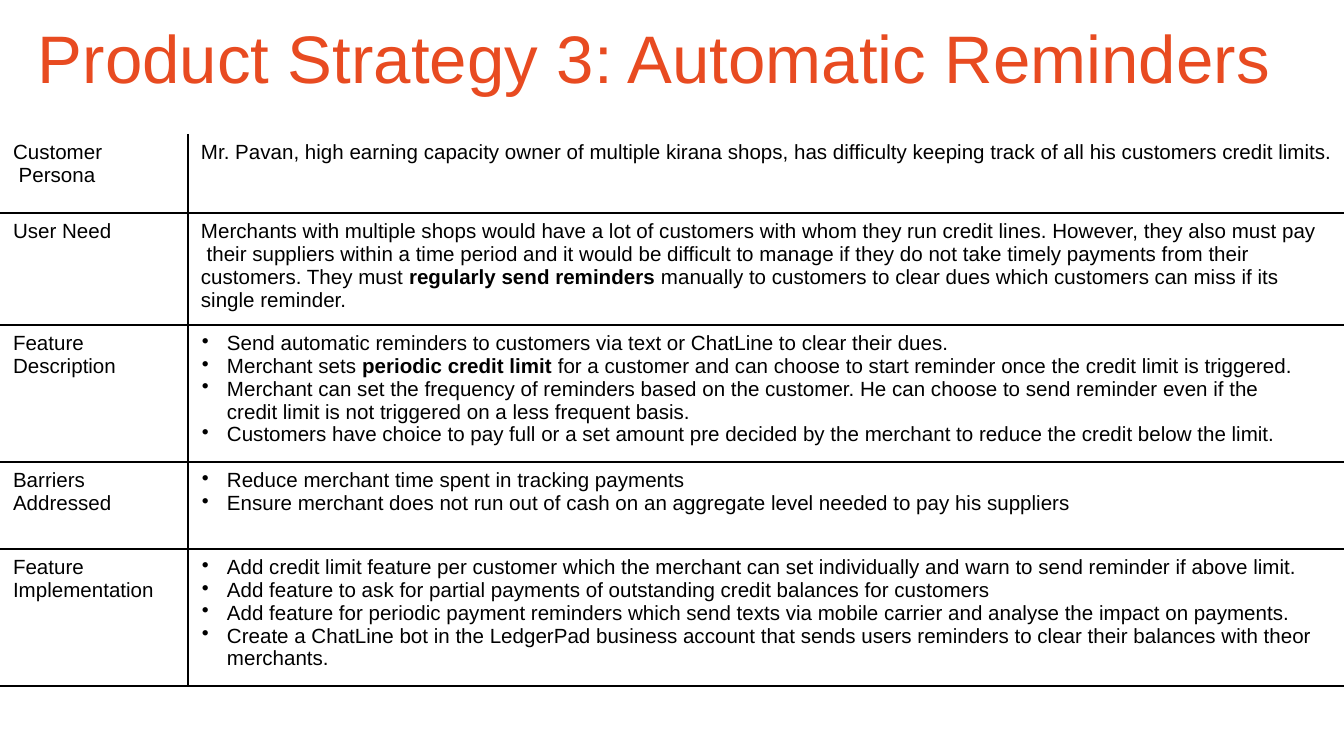
from lxml import etree
from pptx import Presentation
from pptx.dml.color import RGBColor
from pptx.enum.text import MSO_ANCHOR
from pptx.oxml.ns import qn
from pptx.util import Pt

MIDDLE = MSO_ANCHOR.MIDDLE

TITLE = "Product Strategy 3: Automatic Reminders"
SECTIONS = [
    ("Customer\n Persona", 79, False, [
        "Mr. Pavan, high earning capacity owner of multiple kirana shops, has difficulty "
        "keeping track of all his customers credit limits.",
    ]),
    ("User Need", 112, False, [
        "Merchants with multiple shops would have a lot of customers with whom they run "
        "credit lines. However, they also must pay\n their suppliers within a time period "
        "and it would be difficult to manage if they do not take timely payments from "
        "their\ncustomers. They must **regularly send reminders** manually to customers to "
        "clear dues which customers can miss if its\nsingle reminder.",
    ]),
    ("Feature\nDescription", 137, True, [
        "Send automatic reminders to customers via text or ChatLine to clear their dues.",
        "Merchant sets **periodic credit limit** for a customer and can choose to start "
        "reminder once the credit limit is triggered.",
        "Merchant can set the frequency of reminders based on the customer. He can choose "
        "to send reminder even if the\ncredit limit is not triggered on a less frequent basis.",
        "Customers have choice to pay full or a set amount pre decided by the merchant to "
        "reduce the credit below the limit.",
    ]),
    ("Barriers\nAddressed", 87, True, [
        "Reduce merchant time spent in tracking payments",
        "Ensure merchant does not run out of cash on an aggregate level needed to pay "
        "his suppliers",
    ]),
    ("Feature\nImplementation", 137, True, [
        "Add credit limit feature per customer which the merchant can set individually and "
        "warn to send reminder if above limit.",
        "Add feature to ask for partial payments of outstanding credit balances for customers",
        "Add feature for periodic payment reminders which send texts via mobile carrier and "
        "analyse the impact on payments.",
        "Create a ChatLine bot in the LedgerPad business account that sends users reminders "
        "to clear their balances with theor\nmerchants.",
    ]),
]

THEME = {
    "font": "Arial",
    "title": RGBColor(0xE8, 0x4B, 0x21),
    "text": RGBColor(0, 0, 0),
    "rule": "000000",
    "title_size": 36,
    "text_size": 11,
}
SLIDE_SIZE = (1344, 756)
TITLE_BOX = (38, 15, 1273, 83)
TABLE_TOP = 134
COLUMNS = (188, 1156)
CELL_TOP = 7
INDENT, BULLET_INDENT, BULLET_HANG = 13, 39, -25


def px(length):
    return round(length * 914400 / 134.4)


def style(paragraph, size, color):
    paragraph.font.name = THEME["font"]
    paragraph.font.size = Pt(size)
    paragraph.font.color.rgb = color


def write(paragraph, text):
    for part, phrase in enumerate(text.split("**")):
        for row, line in enumerate(phrase.split("\n")):
            if row:
                paragraph.add_line_break()
            run = paragraph.add_run()
            run.text = line
            if part % 2:
                run.font.bold = True


def indent(paragraph, bulleted):
    props = paragraph._p.get_or_add_pPr()
    props.set("marL", str(px(BULLET_INDENT if bulleted else INDENT)))
    props.set("indent", str(px(BULLET_HANG) if bulleted else 0))
    if bulleted:
        etree.SubElement(props, qn("a:buChar"), char="•")
    else:
        etree.SubElement(props, qn("a:buNone"))


def set_borders(cell, ruled_sides):
    props = cell._tc.get_or_add_tcPr()
    for position, side in enumerate("LRTB"):
        border = etree.Element(qn(f"a:ln{side}"), w=str(Pt(1)))
        if side in ruled_sides:
            fill = etree.SubElement(border, qn("a:solidFill"))
            etree.SubElement(fill, qn("a:srgbClr"), val=THEME["rule"])
        else:
            etree.SubElement(border, qn("a:noFill"))
        props.insert(position, border)


def fill_cell(cell, paragraphs, bulleted, ruled_sides):
    cell.margin_left = cell.margin_right = cell.margin_bottom = 0
    cell.margin_top = px(CELL_TOP)
    cell.fill.background()
    set_borders(cell, ruled_sides)
    frame = cell.text_frame
    for number, text in enumerate(paragraphs):
        paragraph = frame.add_paragraph() if number else frame.paragraphs[0]
        indent(paragraph, bulleted)
        paragraph.space_before = Pt(0 if number else 3.3)
        write(paragraph, text)
        style(paragraph, THEME["text_size"], THEME["text"])


def add_title(slide):
    frame = slide.shapes.add_textbox(*map(px, TITLE_BOX)).text_frame
    frame.word_wrap = True
    frame.vertical_anchor = MIDDLE
    frame.margin_left = frame.margin_right = frame.margin_bottom = 0
    frame.margin_top = px(1)
    heading = frame.paragraphs[0]
    heading.text = TITLE
    heading.space_before = Pt(1)
    style(heading, THEME["title_size"], THEME["title"])


def add_strategy_table(slide):
    height = sum(section[1] for section in SECTIONS)
    table = slide.shapes.add_table(
        len(SECTIONS), len(COLUMNS), 0, px(TABLE_TOP), px(sum(COLUMNS)), px(height)
    ).table
    table.first_row = table.horz_banding = False
    for column, width in zip(table.columns, COLUMNS):
        column.width = px(width)
    for row, (label, row_height, bulleted, details) in enumerate(SECTIONS):
        table.rows[row].height = px(row_height)
        across = "TB" if row else "B"
        fill_cell(table.cell(row, 0), [label], False, across + "R")
        fill_cell(table.cell(row, 1), details, bulleted, across + "L")


def main():
    deck = Presentation()
    deck.slide_width, deck.slide_height = map(px, SLIDE_SIZE)
    slide = deck.slides.add_slide(deck.slide_layouts[6])
    add_title(slide)
    add_strategy_table(slide)
    deck.save("out.pptx")


if __name__ == "__main__":
    main()
